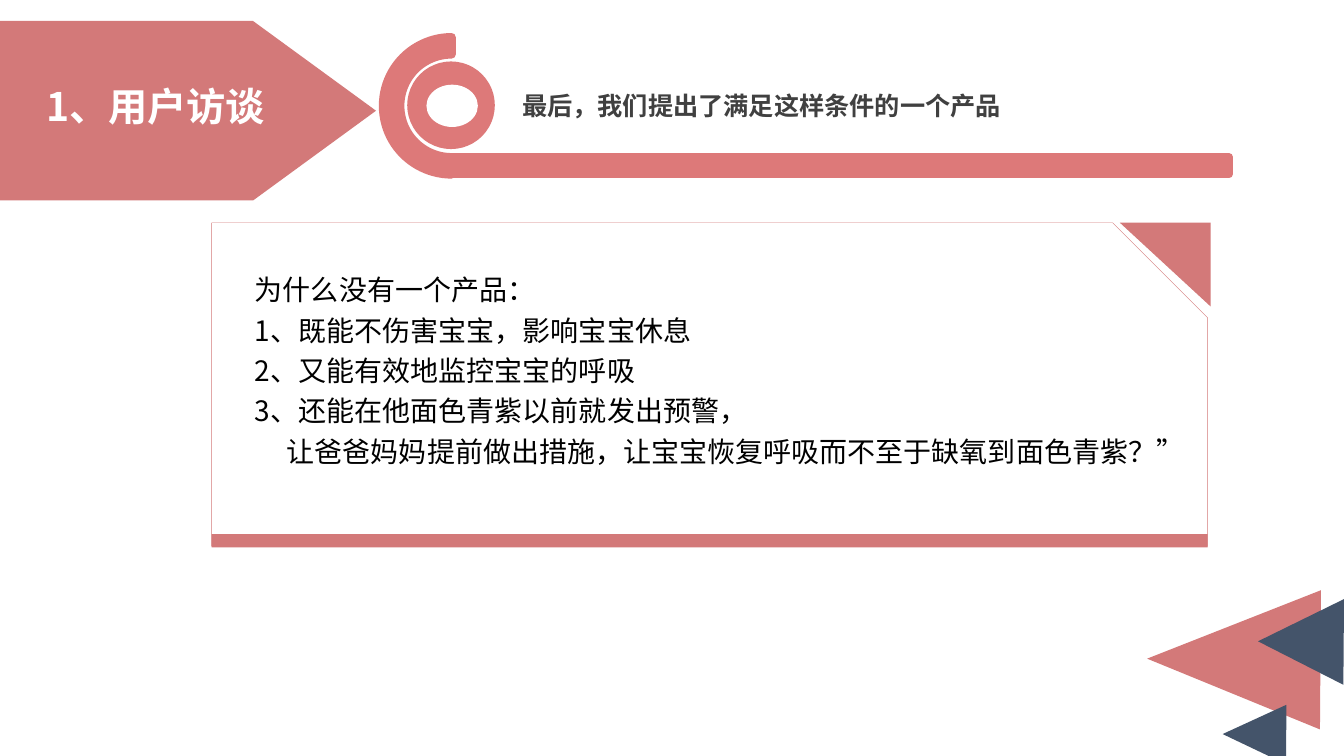
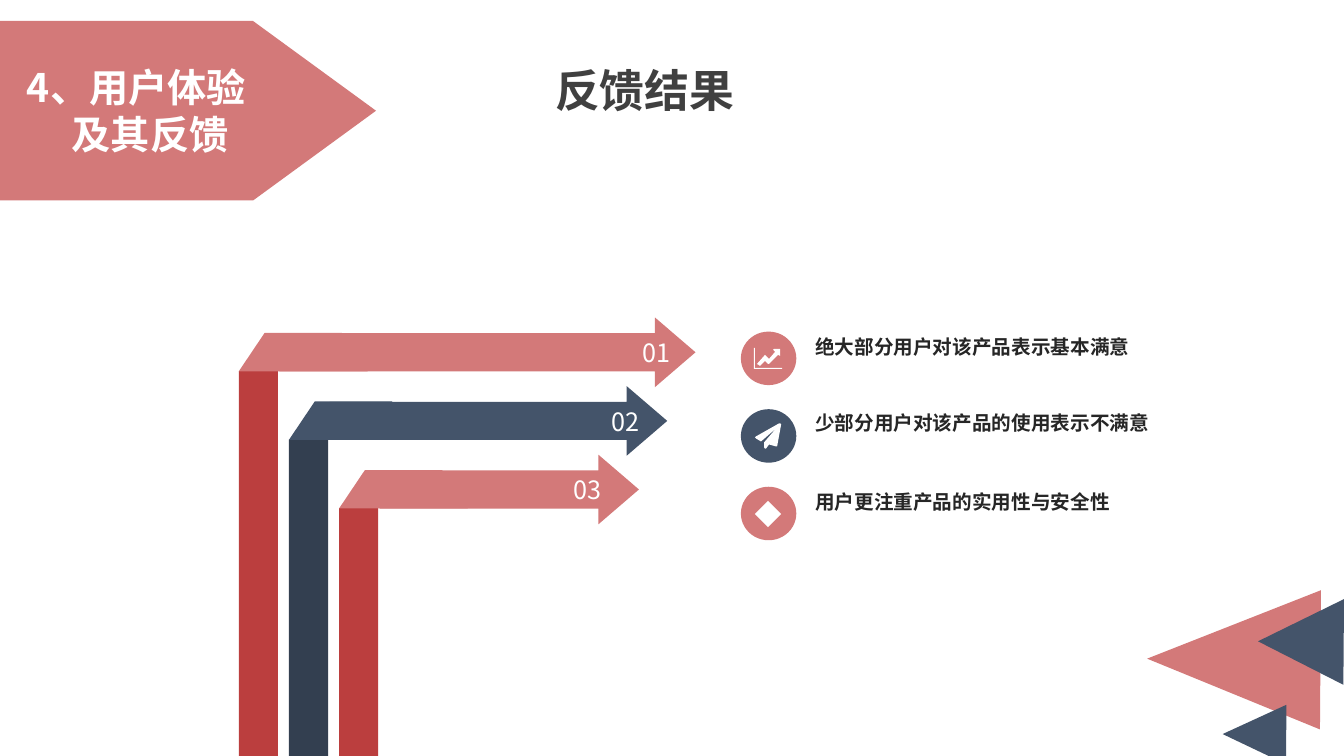
"""Build two slides about user interviews and user feedback."""
import pptx
import pptx.dml.color
import pptx.enum.shapes
import pptx.enum.text
import pptx.oxml.ns
import pptx.util
from lxml import etree

Pt = pptx.util.Pt
RGBColor = pptx.dml.color.RGBColor
Shape = pptx.enum.shapes.MSO_SHAPE
Align = pptx.enum.text.PP_ALIGN
Anchor = pptx.enum.text.MSO_ANCHOR
qn = pptx.oxml.ns.qn

FONT = "Noto Sans CJK SC"
ROSE = RGBColor(0xD3, 0x79, 0x79)
CORAL = RGBColor(0xDD, 0x79, 0x79)
CRIMSON = RGBColor(0xBB, 0x3E, 0x3E)
SLATE = RGBColor(0x44, 0x54, 0x6A)
NAVY = RGBColor(0x33, 0x3F, 0x50)
WHITE = RGBColor(0xFF, 0xFF, 0xFF)
BLACK = RGBColor(0x00, 0x00, 0x00)
DARK_GRAY = RGBColor(0x40, 0x40, 0x40)
INK = RGBColor(0x26, 0x26, 0x26)

SLIDE_WIDTH, SLIDE_HEIGHT = 960, 540
ICON_UNIT = 0.72
BADGE_LEFT, BADGE_TOP, BADGE_PITCH = 529.2, 236.9, 55.4

CORNER_TRIANGLES = [
    (831.6, 409, 99.4, 123.8, ROSE),
    (874.8, 501.8, 42.5, 45.4, SLATE),
    (898.6, 427.7, 61.2, 61.2, SLATE),
]

REQUIREMENTS = [
    ("为什么没有一个产品：", 0),
    ("1、既能不伤害宝宝，影响宝宝休息", 0),
    ("2、又能有效地监控宝宝的呼吸", 0),
    ("3、还能在他面色青紫以前就发出预警，", 0),
    ("让爸爸妈妈提前做出措施，让宝宝恢复呼吸而不至于缺氧到面色青紫？”", 22.8),
]

ARROWS = [
    ("01", 444, ROSE, CRIMSON),
    ("02", 421.6, SLATE, NAVY),
    ("03", 395, ROSE, CRIMSON),
]

CHART_ICON = [
    [(41, 37), (13, 37), (13, 16), (14, 16), (14, 36), (41, 36)],
    [(39, 24), (37, 23), (28, 32), (27, 32), (24, 29), (19, 34), (16, 32),
     (24, 23), (28, 27), (34, 20), (32, 18), (33, 17), (39, 17)],
]
PLANE_ICON = [
    [(40, 15), (36, 37), (35, 37), (28, 35), (25, 39), (24, 39), (23, 38),
     (23, 33), (35, 19), (20, 32), (15, 29), (14, 28), (15, 27), (38, 14),
     (39, 14)],
]
DIAMOND_ICON = [[(27, 14), (40, 27), (27, 40), (14, 27)]]

FEEDBACK = [
    ("绝大部分用户对该产品表示基本满意", 227.5, ROSE, CHART_ICON),
    ("少部分用户对该产品的使用表示不满意", 281.5, SLATE, PLANE_ICON),
    ("用户更注重产品的实用性与安全性", 337.7, ROSE, DIAMOND_ICON),
]


def paint(shape, fill, line=None, line_width=0):
    """Give a shape a flat fill and an optional outline."""
    shape.shadow.inherit = False
    shape.fill.solid()
    shape.fill.fore_color.rgb = fill
    if line is None:
        shape.line.fill.background()
    else:
        shape.line.color.rgb = line
        shape.line.width = Pt(line_width)


def add_preset(slide, kind, box, fill, adjustments=(), rotation=0, line=None, line_width=0):
    """Add a painted preset shape."""
    shape = slide.shapes.add_shape(kind, *map(Pt, box))
    for index, value in enumerate(adjustments):
        shape.adjustments[index] = value
    shape.rotation = rotation
    paint(shape, fill, line, line_width)


def add_text(slide, box, lines, size, color, bold=False, spacing=1.0,
             alignment=Align.LEFT, anchor=Anchor.TOP):
    """Add a text box from pairs of wording and left indent."""
    frame = slide.shapes.add_textbox(*map(Pt, box)).text_frame
    frame.word_wrap = True
    frame.vertical_anchor = anchor
    for index, (wording, indent) in enumerate(lines):
        paragraph = frame.paragraphs[0] if index == 0 else frame.add_paragraph()
        paragraph.text = wording
        paragraph.alignment = alignment
        paragraph.line_spacing = spacing
        paragraph.font.size = Pt(size)
        paragraph.font.bold = bold
        paragraph.font.color.rgb = color
        paragraph.font.name = FONT
        properties = paragraph._p.get_or_add_pPr()
        properties.set("marL", str(Pt(indent)))
        east_asian = etree.SubElement(properties.find(qn("a:defRPr")), qn("a:ea"))
        east_asian.set("typeface", FONT)


def add_icon(slide, left, top, contours):
    """Draw a white icon from closed contours."""
    builder = slide.shapes.build_freeform(*contours[0][0], scale=Pt(ICON_UNIT))
    for index, contour in enumerate(contours):
        if index:
            builder.move_to(*contour[0])
        builder.add_line_segments(contour[1:], close=True)
    paint(builder.convert_to_shape(Pt(left), Pt(top)), WHITE)


def add_base_slide(presentation, title_box, title_lines):
    """Add a slide with the corner triangles and the title banner."""
    slide = presentation.slides.add_slide(presentation.slide_layouts[6])
    for *box, color in CORNER_TRIANGLES:
        add_preset(slide, Shape.ISOSCELES_TRIANGLE, box, color, rotation=270.4)
    add_preset(slide, Shape.PENTAGON, (0, 15, 268.6, 128.2), ROSE, [0.685])
    add_text(slide, title_box, title_lines, 28, WHITE, bold=True)
    return slide


def add_card(slide):
    """Add the snipped card with its requirements."""
    left, top, width, height = 151.2, 159.1, 711.4, 231.1
    add_preset(slide, Shape.SNIP_1_RECTANGLE, (left, top, width, height), WHITE,
               [0.294], line=ROSE, line_width=0.25)
    add_preset(slide, Shape.RECTANGLE, (left, 381.6, width, 9.4), ROSE)
    add_preset(slide, Shape.RIGHT_TRIANGLE, (799.9, top, 64.8, 59.8), ROSE, rotation=180)
    add_text(slide, (175, 186.5, 687.6, 152.6), REQUIREMENTS, 20, BLACK, spacing=1.2)


def add_hook_caption(slide, caption):
    """Add the hooked underline, its badge and the caption."""
    add_preset(slide, Shape.BLOCK_ARC, (273.6, 26.6, 98, 98), CORAL,
               [54, 162, 0.125], line=CORAL, line_width=6)
    add_preset(slide, Shape.RECTANGLE, (322.6, 112.3, 555.1, 12.2), CORAL,
               line=CORAL, line_width=6)
    add_preset(slide, Shape.OVAL, (290.9, 43.9, 62.6, 62.6), CORAL)
    add_preset(slide, Shape.OVAL, (304.6, 60.5, 36.7, 30.2), WHITE)
    add_text(slide, (365.8, 61.2, 556, 28.8), [(caption, 0)], 18, DARK_GRAY, bold=True)


def add_bent_arrow(slide, index, number, number_left, color, post_color):
    """Add one post that bends into a numbered arrow."""
    left = 170.6 + 35.8 * index
    top = 226.8 + 49 * index
    arrow_left = left + 29
    arrow_width = 496.8 - 20.2 * index - arrow_left
    post_top = top + 38.2
    add_preset(slide, Shape.RECTANGLE, (left, post_top, 28, SLIDE_HEIGHT - post_top), post_color)
    add_preset(slide, Shape.RIGHT_ARROW, (arrow_left, top, arrow_width, 49.7), color,
               [0.549, 0.582])
    add_preset(slide, Shape.FLOWCHART_MANUAL_OPERATION, (left, top + 11, 92, 27.4), color,
               rotation=180)
    add_text(slide, (number_left, top, 50, 49.7), [(number, 0)], 18, WHITE,
             alignment=Align.CENTER, anchor=Anchor.MIDDLE)


def add_feedback(slide, index, wording, text_top, color, icon):
    """Add one feedback line with its round badge."""
    top = BADGE_TOP + BADGE_PITCH * index
    add_preset(slide, Shape.OVAL, (BADGE_LEFT, top, 39.6, 38.2), color)
    add_icon(slide, BADGE_LEFT, top, icon)
    add_text(slide, (575.2, text_top, 300, 32), [(wording, 0)], 14, INK, bold=True, spacing=1.5)


def build_interview_slide(presentation):
    """Build the user interview slide."""
    slide = add_base_slide(presentation, (25.9, 55.4, 242, 41), [("1、用户访谈", 0)])
    add_card(slide)
    add_hook_caption(slide, "最后，我们提出了满足这样条件的一个产品")


def build_feedback_slide(presentation):
    """Build the user feedback slide."""
    slide = add_base_slide(presentation, (12.2, 41.8, 256, 75),
                           [("4、用户体验", 0), ("及其反馈", 32)])
    for index, arrow in enumerate(ARROWS):
        add_bent_arrow(slide, index, *arrow)
    for index, feedback in enumerate(FEEDBACK):
        add_feedback(slide, index, *feedback)
    add_text(slide, (389.4, 41, 180, 57), [("反馈结果", 0)], 32, DARK_GRAY, bold=True)


def main():
    """Build and save the presentation."""
    presentation = pptx.Presentation()
    presentation.slide_width = Pt(SLIDE_WIDTH)
    presentation.slide_height = Pt(SLIDE_HEIGHT)
    build_interview_slide(presentation)
    build_feedback_slide(presentation)
    presentation.save("out.pptx")


if __name__ == "__main__":
    main()
